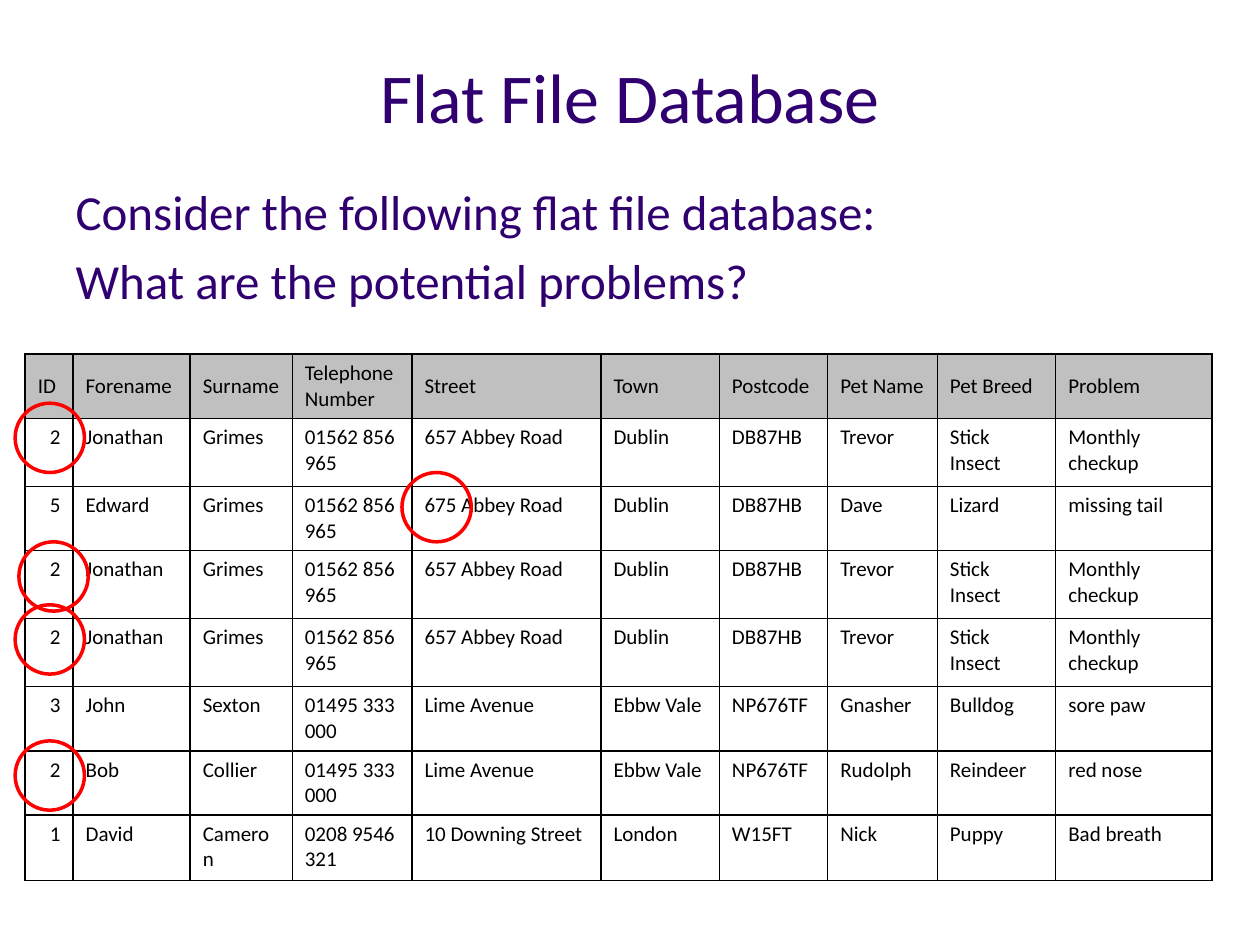
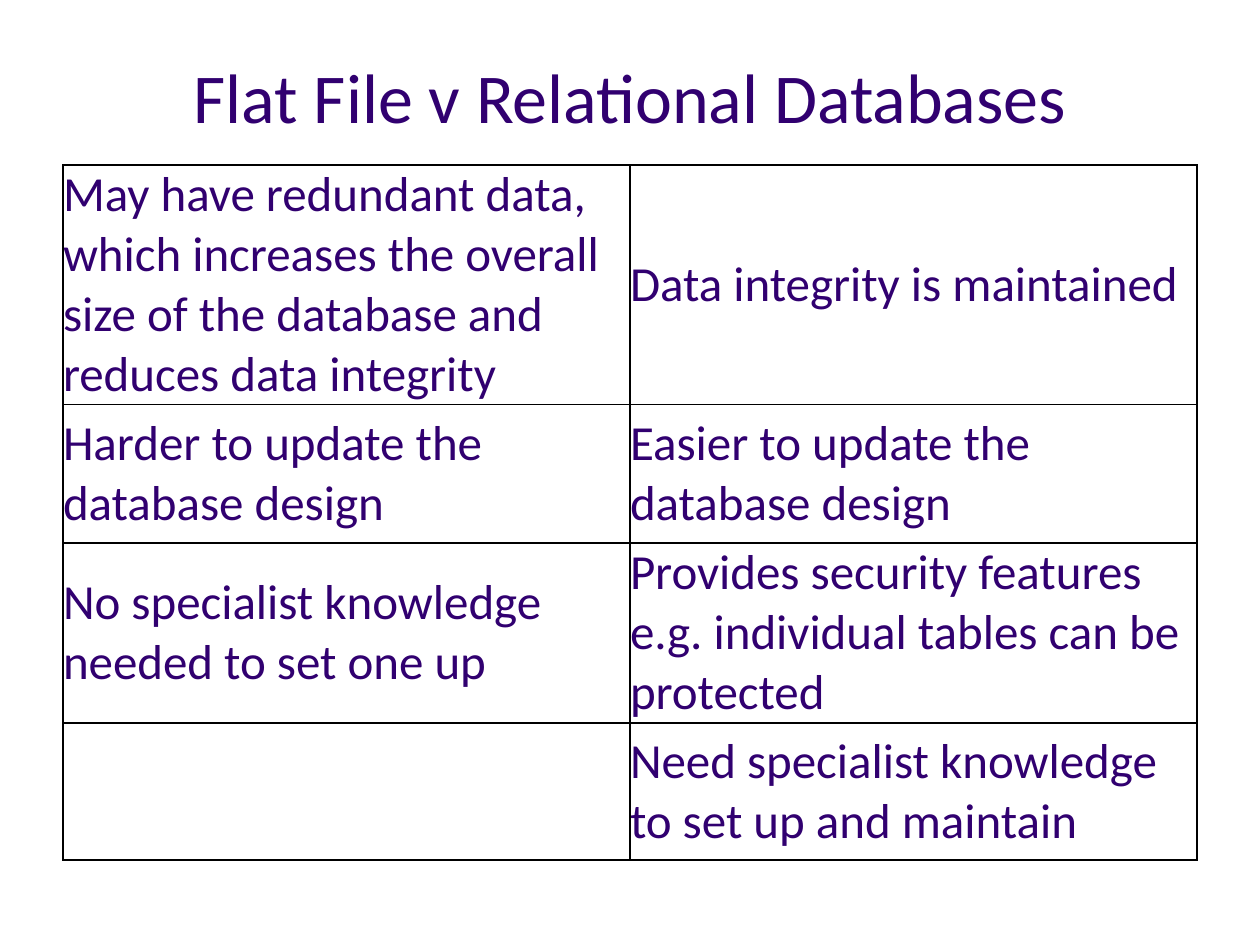
from lxml import etree
from pptx import Presentation
from pptx import util as u
from pptx.dml.color import RGBColor
from pptx.enum import shapes, text
from pptx.oxml.ns import qn

PURPLE = RGBColor(0x31, 0x00, 0x70)
BLACK = RGBColor(0x00, 0x00, 0x00)
WHITE = RGBColor(0xFF, 0xFF, 0xFF)
GREY = RGBColor(0xC0, 0xC0, 0xC0)
RED = RGBColor(0xFF, 0x00, 0x00)

TITLE_AND_BODY, TITLE_ONLY = 1, 5
MIDDLE, TOP = text.MSO_ANCHOR.MIDDLE, text.MSO_ANCHOR.TOP
LEFT, CENTER, RIGHT = text.PP_ALIGN.LEFT, text.PP_ALIGN.CENTER, text.PP_ALIGN.RIGHT

JONATHAN = ["2", "Jonathan", "Grimes", "01562 856 965", "657 Abbey Road", "Dublin",
            "DB87HB", "Trevor", "Stick Insect", "Monthly checkup"]
PET_RECORDS = [
    ["ID", "Forename", "Surname", "Telephone Number", "Street", "Town",
     "Postcode", "Pet Name", "Pet Breed", "Problem"],
    JONATHAN,
    ["5", "Edward", "Grimes", "01562 856 965", "675 Abbey Road", "Dublin",
     "DB87HB", "Dave", "Lizard", "missing tail"],
    JONATHAN,
    JONATHAN,
    ["3", "John", "Sexton", "01495 333 000", "Lime Avenue", "Ebbw Vale",
     "NP676TF", "Gnasher", "Bulldog", "sore paw"],
    ["2", "Bob", "Collier", "01495 333 000", "Lime Avenue", "Ebbw Vale",
     "NP676TF", "Rudolph", "Reindeer", "red nose"],
    ["1", "David", "Cameron", "0208 9546 321", "10 Downing Street", "London",
     "W15FT", "Nick", "Puppy", "Bad breath"],
]
RECORD_WIDTHS = [0.38, 0.93, 0.81, 0.95, 1.5, 0.94, 0.86, 0.87, 0.94, 1.24]
RECORD_HEIGHTS = [0.51, 0.54, 0.51, 0.54, 0.54, 0.51, 0.51, 0.52]
REPEATED_IDS = [(0.12, 3.2), (0.12, 4.8), (0.15, 4.3), (0.12, 5.88)]
MISTYPED_STREET = (3.19, 3.75)

COMPARISON = [
    ["May have redundant data, which increases the overall size of the database "
     "and reduces data integrity", "Data integrity is maintained"],
    ["Harder to update the database design", "Easier to update the database design"],
    ["No specialist knowledge needed to set one up",
     "Provides security features e.g. individual tables can be protected"],
    ["", "Need specialist knowledge to set up and maintain"],
]


class Deck:
    font = "Calibri"
    title_size = 40
    body_size = 28
    circle_size = 0.55

    def __init__(self):
        self.prs = Presentation()
        self.prs.slide_width = u.Inches(10)
        self.prs.slide_height = u.Inches(7.5)
        self.slide = None

    def add_slide(self, layout, title):
        self.slide = self.prs.slides.add_slide(self.prs.slide_layouts[layout])
        self.slide.background.fill.solid()
        self.slide.background.fill.fore_color.rgb = WHITE
        frame = self.place(self.slide.shapes.title, (0.5, 0.3, 9, 0.91), MIDDLE)
        self.add_words(frame.paragraphs[0], title, self.title_size, PURPLE, CENTER)

    def place(self, holder, box, anchor):
        holder.left, holder.top, holder.width, holder.height = map(u.Inches, box)
        frame = holder.text_frame
        frame.auto_size = text.MSO_AUTO_SIZE.NONE
        frame.word_wrap = True
        frame.vertical_anchor = anchor
        return frame

    def add_words(self, paragraph, words, size, color, align=LEFT):
        paragraph.alignment = align
        run = paragraph.add_run()
        run.text = words
        run.font.name = self.font
        run.font.size = u.Pt(size)
        run.font.color.rgb = color

    def body(self, lines):
        frame = self.place(self.slide.placeholders[1], (0.5, 1.39, 9, 4.95), TOP)
        for i, line in enumerate(lines):
            paragraph = frame.add_paragraph() if i else frame.paragraphs[0]
            self.add_words(paragraph, line, self.body_size, PURPLE)
            props = paragraph._p.get_or_add_pPr()
            props.set("marL", "0")
            props.set("indent", "0")
            etree.SubElement(props, qn("a:buNone"))

    def table(self, rows, left, top, widths, heights, fill_cell):
        grid = self.slide.shapes.add_table(
            len(rows), len(widths), u.Inches(left), u.Inches(top),
            u.Inches(sum(widths)), u.Inches(sum(heights))).table
        grid.first_row = grid.horz_banding = False
        for column, width in zip(grid.columns, widths):
            column.width = u.Inches(width)
        for r, (row, height) in enumerate(zip(rows, heights)):
            grid.rows[r].height = u.Inches(height)
            for c, words in enumerate(row):
                cell = grid.cell(r, c)
                self.border(cell)
                fill_cell(cell, words, r, c)

    def border(self, cell):
        props = cell._tc.get_or_add_tcPr()
        for side in "LRTB":
            line = etree.SubElement(props, qn(f"a:ln{side}"), w=str(u.Pt(1)))
            paint = etree.SubElement(line, qn("a:solidFill"))
            etree.SubElement(paint, qn("a:srgbClr"), val=str(BLACK))

    def record_cell(self, cell, words, r, c):
        header = r == 0
        cell.fill.solid()
        cell.fill.fore_color.rgb = GREY if header else WHITE
        cell.vertical_anchor = MIDDLE if header else TOP
        align = RIGHT if c == 0 and not header else LEFT
        self.add_words(cell.text_frame.paragraphs[0], words, 12, BLACK, align)

    def comparison_cell(self, cell, words, r, c):
        cell.fill.background()
        cell.vertical_anchor = MIDDLE
        cell.margin_left = cell.margin_right = cell.margin_top = cell.margin_bottom = 0
        if words:
            paragraph = cell.text_frame.paragraphs[0]
            paragraph.space_before = paragraph.space_after = u.Pt(6)
            self.add_words(paragraph, words, self.body_size, PURPLE)

    def circle(self, parent, left, top):
        size = u.Inches(self.circle_size)
        ring = parent.add_shape(shapes.MSO_SHAPE.OVAL, u.Inches(left), u.Inches(top),
                                size, size)
        ring.shadow.inherit = False
        ring.fill.background()
        ring.line.color.rgb = RED
        ring.line.width = u.Pt(2)


def main():
    deck = Deck()

    deck.add_slide(TITLE_AND_BODY, "Flat File Database")
    deck.body(["Consider the following flat file database:",
               "What are the potential problems?"])
    deck.table(PET_RECORDS, 0.2, 2.81, RECORD_WIDTHS, RECORD_HEIGHTS, deck.record_cell)
    repeated = deck.slide.shapes.add_group_shape().shapes
    for left, top in REPEATED_IDS:
        deck.circle(repeated, left, top)
    deck.circle(deck.slide.shapes, *MISTYPED_STREET)

    deck.add_slide(TITLE_ONLY, "Flat File v Relational Databases")
    deck.table(COMPARISON, 0.5, 1.31, [4.5, 4.5], [1.9, 1.1, 1.42, 1.09],
               deck.comparison_cell)

    deck.prs.save("out.pptx")


if __name__ == "__main__":
    main()
